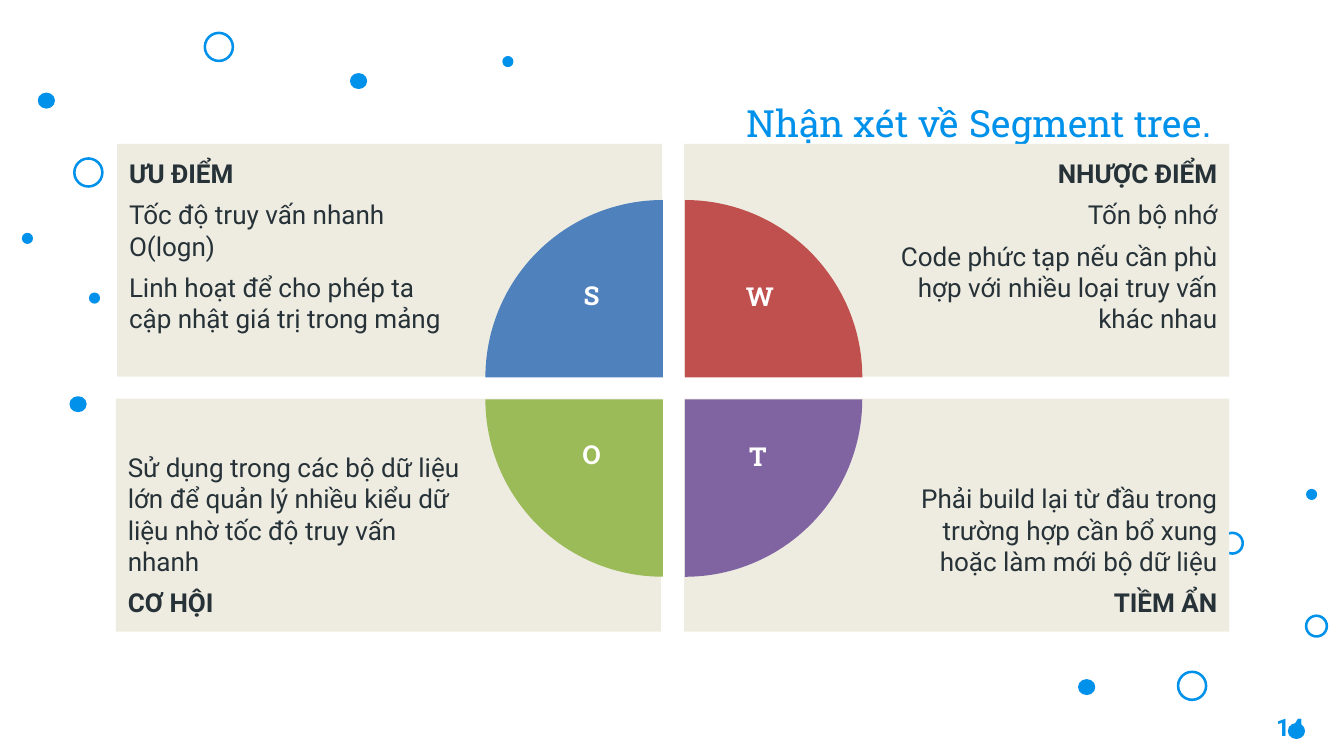
from dataclasses import dataclass

from pptx import Presentation
from pptx.dml.color import RGBColor
from pptx.enum.shapes import MSO_SHAPE as Preset
from pptx.enum.text import MSO_ANCHOR as Anchor, PP_ALIGN as Align
from pptx.util import Inches, Pt


@dataclass(frozen=True)
class Theme:
    accent: str = "0091EA"
    panel: str = "EEECE1"
    ink: str = "263238"
    white: str = "FFFFFF"
    strengths: str = "4F81BD"
    weaknesses: str = "C0504D"
    threats: str = "8064A2"
    opportunities: str = "9BBB59"
    body_font: str = "Roboto"
    display_font: str = "Roboto Slab"
    title_size: float = 22.1
    body_size: float = 15.4
    number_size: float = 14.3


THEME = Theme()

SMALL_DOT = (0.07, 0.07)
LARGE_DOT = (0.12, 0.11)
SMALL_RING = (0.17, 0.17)
LARGE_RING = (0.23, 0.23)

DOTS = {
    SMALL_DOT: [(10.72, 4.02), (0.19, 1.92), (0.74, 2.41), (4.13, 0.47)],
    LARGE_DOT: [(8.85, 5.58), (10.57, 5.94), (2.88, 0.61), (0.58, 3.26), (0.32, 0.77)],
}
RINGS = {
    SMALL_RING: [(10.02, 4.37), (10.71, 5.05)],
    LARGE_RING: [(0.61, 1.3), (1.68, 0.27), (9.66, 5.51)],
}

PANEL_WIDTH, PANEL_HEIGHT = 4.47, 1.91
PANEL_RIGHT, PANEL_TOP, PANEL_BOTTOM = 5.61, 1.18, 3.27
PIE_SIZE = 2.91
PIE_LEFT, PIE_RIGHT, PIE_TOP, PIE_BOTTOM = 3.98, 4.16, 1.64, 1.82
NARROW, WIDE = 0.1, 1.65


def color(value):
    return RGBColor.from_string(value)


def add_shape(slide, preset, box, fill=None, line=None):
    shape = slide.shapes.add_shape(preset, *map(Inches, box))
    shape.shadow.inherit = False
    if fill:
        shape.fill.solid()
        shape.fill.fore_color.rgb = color(fill)
    else:
        shape.fill.background()
    if line:
        shape.line.color.rgb = color(line)
        shape.line.width = Pt(1.5)
    else:
        shape.line.fill.background()
    return shape


def set_frame(shape, left=0.1, right=0.1, vertical=0.11, anchor=Anchor.TOP):
    frame = shape.text_frame
    frame.word_wrap = True
    frame.vertical_anchor = anchor
    frame.margin_left, frame.margin_right = Inches(left), Inches(right)
    frame.margin_top = frame.margin_bottom = Inches(vertical)
    return frame


def write(paragraph, text, *, size=THEME.body_size, font=THEME.body_font, ink=THEME.ink,
          bold=False, align=Align.LEFT, before=0, after=0):
    paragraph.alignment = align
    paragraph.space_before, paragraph.space_after = Pt(before), Pt(after)
    run = paragraph.add_run()
    run.text = text
    run.font.size, run.font.name, run.font.bold = Pt(size), font, bold
    run.font.color.rgb = color(ink)


def add_label(slide, text, box, margins, **text_format):
    text_box = slide.shapes.add_textbox(*map(Inches, box))
    write(set_frame(text_box, **margins).paragraphs[0], text, **text_format)


def add_circles(slide, groups, fill=None):
    for size, places in groups.items():
        for place in places:
            add_shape(slide, Preset.OVAL, (*place, *size), fill, THEME.accent)


def add_panel(slide, left, top, heading, notes):
    on_right = left == PANEL_RIGHT
    at_bottom = top == PANEL_BOTTOM
    shape = add_shape(slide, Preset.RECTANGLE, (left, top, PANEL_WIDTH, PANEL_HEIGHT), THEME.panel)
    frame = set_frame(
        shape,
        left=WIDE if on_right else NARROW,
        right=NARROW if on_right else WIDE,
        anchor=Anchor.BOTTOM if at_bottom else Anchor.TOP,
    )
    lines = [*notes, heading] if at_bottom else [heading, *notes]
    for index, line in enumerate(lines):
        is_heading = line == heading
        write(
            frame.add_paragraph() if index else frame.paragraphs[0],
            line,
            bold=is_heading,
            align=Align.RIGHT if on_right else Align.LEFT,
            before=6 if index else 0,
            after=6 if is_heading and at_bottom else 0,
        )


def add_quarter(slide, left, top, rotation, fill):
    shape = add_shape(slide, Preset.PIE, (left, top, PIE_SIZE, PIE_SIZE), fill)
    shape.adjustments[0] = 108
    shape.adjustments[1] = 162
    shape.rotation = rotation


def main():
    presentation = Presentation()
    presentation.slide_width, presentation.slide_height = Inches(11.02), Inches(6.2)
    slide = presentation.slides.add_slide(presentation.slide_layouts[6])

    add_circles(slide, DOTS, THEME.accent)
    add_circles(slide, RINGS)

    add_label(slide, "Nhận xét về Segment tree.", (4.25, 0.45, 5.78, 0.85),
              {"anchor": Anchor.BOTTOM}, size=THEME.title_size,
              font=THEME.display_font, ink=THEME.accent, align=Align.RIGHT)
    add_label(slide, "14", (10.13, 5.73, 0.66, 0.47), {}, size=THEME.number_size,
              ink=THEME.accent, bold=True, align=Align.RIGHT)

    panels = [
        (0.96, PANEL_TOP, "ƯU ĐIỂM", [
            "Tốc độ truy vấn nhanh O(logn)",
            "Linh hoạt để cho phép ta cập nhật giá trị trong mảng"]),
        (PANEL_RIGHT, PANEL_TOP, "NHƯỢC ĐIỂM", [
            "Tốn bộ nhớ",
            "Code phức tạp nếu cần phù hợp với nhiều loại truy vấn khác nhau"]),
        (0.95, PANEL_BOTTOM, "CƠ HỘI", [
            "Sử dụng trong các bộ dữ liệu lớn để quản lý nhiều kiểu dữ liệu "
            "nhờ tốc độ truy vấn nhanh"]),
        (PANEL_RIGHT, PANEL_BOTTOM, "TIỀM ẨN", [
            "Phải build lại từ đầu trong trường hợp cần bổ xung hoặc làm mới bộ dữ liệu"]),
    ]
    for panel in panels:
        add_panel(slide, *panel)

    quarters = [
        (PIE_LEFT, PIE_TOP, THEME.strengths),
        (PIE_RIGHT, PIE_TOP, THEME.weaknesses),
        (PIE_RIGHT, PIE_BOTTOM, THEME.threats),
        (PIE_LEFT, PIE_BOTTOM, THEME.opportunities),
    ]
    for turn, (left, top, fill) in enumerate(quarters):
        add_quarter(slide, left, top, 90 * turn, fill)

    letters = {
        "S": (4.65, 2.24, 0.4, 0.54),
        "W": (5.84, 2.25, 0.78, 0.53),
        "O": (4.61, 3.55, 0.48, 0.54),
        "T": (5.98, 3.56, 0.47, 0.53),
    }
    for letter, box in letters.items():
        add_label(slide, letter, box, {"left": 0.11, "right": 0.11, "vertical": 0.05},
                  font=THEME.display_font, ink=THEME.white, bold=True, align=Align.CENTER)

    presentation.save("out.pptx")


if __name__ == "__main__":
    main()
